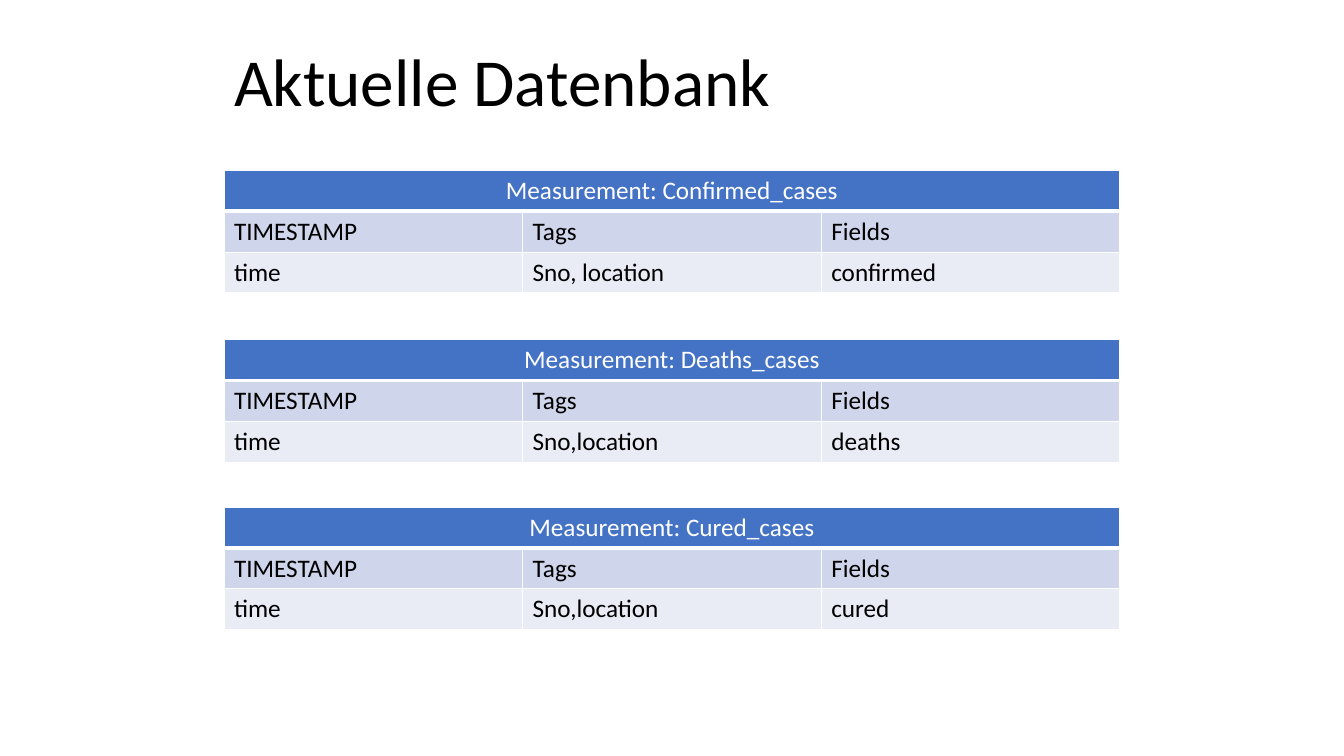
from lxml import etree
from pptx import Presentation
from pptx import util as u
from pptx.dml import color
from pptx.enum import text
from pptx.oxml import ns

LEFT = 160
TABLE_WIDTH = 640
ROW_HEIGHT = 29.2
ROW_FILLS = ["4472C4", "CFD5EA", "E9EBF5"]
COLUMN_HEADS = ["TIMESTAMP", "Tags", "Fields"]
MEASUREMENTS = [
    (121.7, "Confirmed_cases", "Sno, location", "confirmed"),
    (242.6, "Deaths_cases", "Sno,location", "deaths"),
    (362.2, "Cured_cases", "Sno,location", "cured"),
]


def rgb(value):
    return color.RGBColor.from_string(value)


def apply(target, values):
    for attribute, value in values.items():
        setattr(target, attribute, value)


def style_text(frame, size, ink, alignment, spacing=1.0):
    for paragraph in frame.paragraphs:
        apply(paragraph, {"alignment": alignment, "line_spacing": spacing})
        for run in paragraph.runs:
            apply(run.font, {"name": "Calibri", "size": u.Pt(size), "bold": False})
            run.font.color.rgb = rgb(ink)


def add_borders(cell, widths):
    properties = cell._tc.get_or_add_tcPr()
    for side, width in widths.items():
        border = etree.SubElement(properties, ns.qn(f"a:ln{side}"), w=str(u.Pt(width)))
        fill = etree.SubElement(border, ns.qn("a:solidFill"))
        etree.SubElement(fill, ns.qn("a:srgbClr"), val="FFFFFF")


def add_title(slide, wording):
    title = slide.shapes.title
    apply(title, {"left": u.Pt(LEFT), "top": u.Pt(26), "width": u.Pt(677.5), "height": u.Pt(64)})
    title.text_frame.text = wording
    apply(title.text_frame, {
        "vertical_anchor": text.MSO_ANCHOR.BOTTOM,
        "word_wrap": True,
        "auto_size": text.MSO_AUTO_SIZE.NONE,
    })
    style_text(title.text_frame, 48, "000000", text.PP_ALIGN.LEFT, 0.9)


def fill_cell(cell, wording, row):
    heading = row == 0
    cell.text = wording
    add_borders(cell, {"L": 1, "R": 1, "T": 3 if row == 1 else 1, "B": 3 if heading else 1})
    cell.fill.solid()
    cell.fill.fore_color.rgb = rgb(ROW_FILLS[row])
    alignment = text.PP_ALIGN.CENTER if heading else text.PP_ALIGN.LEFT
    style_text(cell.text_frame, 18, "FFFFFF" if heading else "000000", alignment)


def add_measurement(slide, top, measurement, tags, field):
    rows = [[f"Measurement: {measurement}", "", ""], COLUMN_HEADS, ["time", tags, field]]
    frame = slide.shapes.add_table(
        len(rows), len(COLUMN_HEADS),
        u.Pt(LEFT), u.Pt(top), u.Pt(TABLE_WIDTH), u.Pt(ROW_HEIGHT * len(rows)),
    )
    grid = frame.table
    for row, wordings in enumerate(rows):
        grid.rows[row].height = u.Pt(ROW_HEIGHT)
        for column, wording in enumerate(wordings):
            fill_cell(grid.cell(row, column), wording, row)
    grid.cell(0, 0).merge(grid.cell(0, len(COLUMN_HEADS) - 1))


def main():
    deck = Presentation()
    apply(deck, {"slide_width": u.Pt(960), "slide_height": u.Pt(540)})
    slide = deck.slides.add_slide(deck.slide_layouts[5])
    for measurement in MEASUREMENTS:
        add_measurement(slide, *measurement)
    add_title(slide, "Aktuelle Datenbank")
    deck.save("out.pptx")


if __name__ == "__main__":
    main()
